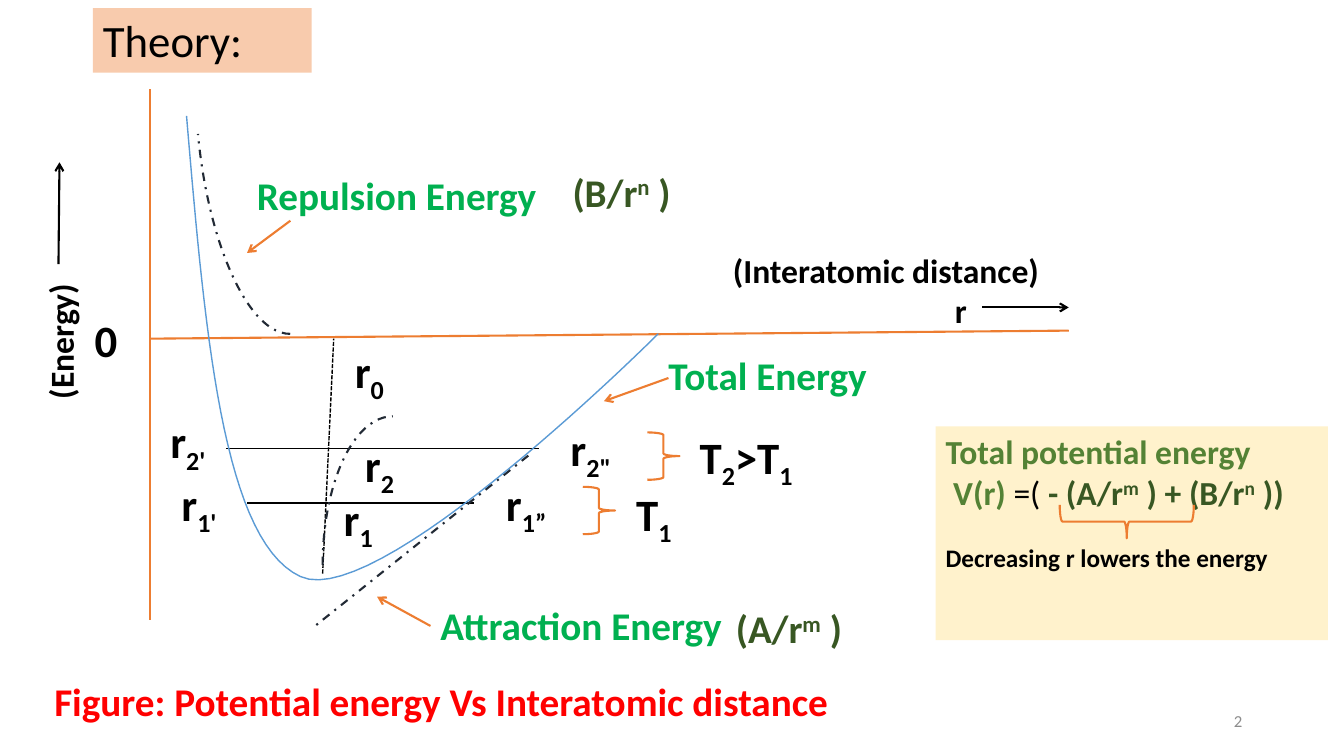
from lxml import etree
from pptx import Presentation
from pptx.dml.color import RGBColor
from pptx.enum.dml import MSO_LINE_DASH_STYLE as DASH
from pptx.enum.shapes import MSO_CONNECTOR, MSO_SHAPE
from pptx.enum.text import MSO_ANCHOR, PP_ALIGN
from pptx.oxml.ns import qn
from pptx.util import Inches, Pt

COLORS = {"black": "000000", "orange": "ED7D31", "blue": "5B9BD5", "navy": "222A35",
          "green": "00B050", "dark green": "385723", "mid green": "548235", "red": "FF0000",
          "gray": "8C8C8C", "peach": "F8CBAD", "cream": "FFF2CC"}

# Content: "_x_" is a subscript, "^x^" a superscript
# text, left, top, width, height, size, color
LABELS = [
    ("0", 0.84, 3.05, 0.43, 0.64, 32, "black"),
    ("r_0_", 3.42, 3.36, 0.51, 0.64, 32, "black"),
    ("r_1'_", 1.7, 4.68, 0.58, 0.64, 32, "black"),
    ("r_2'_", 1.59, 4.06, 0.58, 0.64, 32, "black"),
    ('r_2"_', 5.56, 4.13, 0.65, 0.64, 32, "black"),
    ("r_1”_", 4.92, 4.68, 0.64, 0.64, 32, "black"),
    ("r_1_", 3.31, 4.83, 0.51, 0.64, 32, "black"),
    ("r_2_", 3.52, 4.29, 0.51, 0.64, 32, "black"),
    ("T_1_", 6.21, 4.78, 0.58, 0.64, 32, "black"),
    ("T_2_>T_1_", 6.84, 4.21, 1.18, 1, 32, "black"),
    ("Repulsion Energy", 2.45, 1.65, 3, 0.57, 28, "green"),
    ("Attraction Energy", 4.27, 5.92, 3.04, 0.57, 28, "green"),
    ("Total Energy", 6.53, 3.44, 2.19, 0.57, 28, "green"),
    ("(B/r^n^ )", 5.58, 1.62, 1.21, 0.57, 28, "dark green"),
    ("(A/r^m^ )", 7.2, 5.95, 1.3, 0.57, 28, "dark green"),
    ("Figure: Potential energy Vs Interatomic distance", 0.44, 6.67, 7.97, 0.57, 28, "red"),
]
# from, to, color, width, dash, arrow
LINES = [
    ((1.49, 3.36), (10.6, 3.28), "orange", 1.5, None, False),
    ((1.49, 6.15), (1.49, 0.88), "orange", 1.5, None, False),
    ((3.2, 5.69), (3.31, 3.36), "black", 1, DASH.SQUARE_DOT, False),
    ((2.45, 4.99), (4.7, 4.99), "black", 1, None, False),
    ((2.24, 4.45), (5.35, 4.45), "black", 1, None, False),
    ((5.24, 4.52), (3.1, 6.23), "navy", 1.5, DASH.DASH_DOT, False),
    ((9.74, 3.05), (10.6, 3.05), "black", 1.5, None, True),
    ((0.58, 2.62), (0.59, 1.61), "black", 1.5, None, True),
    ((2.88, 2.19), (2.45, 2.51), "orange", 1.5, None, True),
    ((6.63, 3.75), (5.99, 3.98), "orange", 1.5, None, True),
    ((4.27, 6.21), (3.74, 5.92), "orange", 1.5, None, True),
]
# left, top, width, height, rotation
BRACES = [(6.42, 4.29, 0.32, 0.47, 0), (5.78, 4.83, 0.32, 0.47, 0), (11.01, 4.51, 0.33, 1.33, 90)]
# box, rotation, start and end adjustments
ARCS = [((1.96, -0.8, 1.5, 4.12), 174.7, (162.37, 0)),
        ((3.2, 4.13, 1.39, 2.95), 0, (108, 162))]
TOTAL_CURVE = [((1.85, 1.15), (2.03, 3.25), (2.2, 5.36), (2.98, 5.72)),
               ((2.98, 5.72), (3.76, 6.08), (6.53, 3.31), (6.53, 3.31))]
# One list per paragraph: text, size, color, bold
FORMULA = [
    [("Total potential energy", 24, "mid green", True)],
    [(" V(r) ", 24, "mid green", True), ("=( ", 24, "black", False),
     ("- (A/r^m^ ) + (B/r^n^ ))", 24, "dark green", True)],
    [("Decreasing r lowers the energy", 18, "black", True)],
]

presentation = Presentation()
presentation.slide_width, presentation.slide_height = Inches(13.33), Inches(7.5)
slide = presentation.slides.add_slide(presentation.slide_layouts[5])
shapes = slide.shapes


def rgb(name):
    return RGBColor.from_string(COLORS[name])


def inches(values):
    return [Inches(value) for value in values]


def add_text(paragraph, text, size, color, bold=True):
    mark, shift = ("^", "30000") if "^" in text else ("_", "-25000")
    for index, part in enumerate(text.split(mark)):
        if not part:
            continue
        run = paragraph.add_run()
        run.text = part
        font = run.font
        font.name, font.size, font.bold = "Calibri", Pt(size), bold
        font.color.rgb = rgb(color)
        if index % 2:
            run._r.get_or_add_rPr().set("baseline", shift)


def add_label(text, left, top, width, height, size, color, wrap=False, bold=True):
    box = shapes.add_textbox(*inches((left, top, width, height)))
    box.text_frame.word_wrap = wrap
    add_text(box.text_frame.paragraphs[0], text, size, color, bold)
    return box


def style_line(line, color, width, dash=None):
    line.color.rgb = rgb(color)
    line.width = Pt(width)
    if dash:
        line.dash_style = dash


def add_outline(kind, box, color, dash=None, rotation=0):
    shape = shapes.add_shape(kind, *inches(box))
    shape.shadow.inherit = False
    shape.fill.background()
    shape.rotation = rotation
    style_line(shape.line, color, 1.5, dash)
    return shape


def curve_point(points, t):
    weights = ((1 - t) ** 3, 3 * t * (1 - t) ** 2, 3 * t * t * (1 - t), t ** 3)
    return inches(sum(w * point[axis] for w, point in zip(weights, points)) for axis in (0, 1))


# Title
title = shapes.title
title.left, title.top, title.width, title.height = inches((0.92, 0.08, 2.17, 0.64))
title.fill.solid()
title.fill.fore_color.rgb = rgb("peach")
title.text_frame.vertical_anchor = MSO_ANCHOR.TOP
title.text_frame.paragraphs[0].alignment = PP_ALIGN.LEFT
add_text(title.text_frame.paragraphs[0], "Theory:", 32, "black", False)

# Formula panel
panel = shapes.add_shape(MSO_SHAPE.RECTANGLE, *inches((9.28, 4.23, 3.89, 2.12)))
panel.shadow.inherit = False
panel.fill.solid()
panel.fill.fore_color.rgb = rgb("cream")
panel.line.fill.background()
panel.text_frame.vertical_anchor = MSO_ANCHOR.TOP
for index, parts in enumerate(FORMULA):
    paragraph = panel.text_frame.paragraphs[0] if index == 0 else panel.text_frame.add_paragraph()
    paragraph.alignment = PP_ALIGN.LEFT
    for part in parts:
        add_text(paragraph, *part)
paragraph.space_before = Pt(22)

# Axes, levels and pointers
for start, end, color, width, dash, arrow in LINES:
    connector = shapes.add_connector(MSO_CONNECTOR.STRAIGHT, *inches(start + end))
    style_line(connector.line, color, width, dash)
    if arrow:
        etree.SubElement(connector.line._get_or_add_ln(), qn("a:tailEnd"), type="arrow")
    etree.SubElement(connector._element.spPr, qn("a:effectLst"))

# Total energy curve, sampled in EMU so that it stays smooth
STEPS = 30
curve_points = [curve_point(segment, step / STEPS)
                for segment in TOTAL_CURVE for step in range(1, STEPS + 1)]
builder = shapes.build_freeform(*inches(TOTAL_CURVE[0][0]))
builder.add_line_segments(curve_points, close=False)
curve = builder.convert_to_shape()
curve.shadow.inherit = False
curve.fill.background()
style_line(curve.line, "blue", 1)

# Repulsion and attraction arcs, braces
for box, rotation, adjustments in ARCS:
    arc = add_outline(MSO_SHAPE.ARC, box, "navy", DASH.DASH_DOT, rotation)
    for index, value in enumerate(adjustments):
        arc.adjustments[index] = value
for *box, rotation in BRACES:
    add_outline(MSO_SHAPE.RIGHT_BRACE, box, "orange", rotation=rotation)

# Labels
for label in LABELS:
    add_label(*label)
distance = add_label("(Interatomic distance)", 7.17, 2.43, 4.72, 0.91, 24, "black", True)
symbol = distance.text_frame.add_paragraph()
symbol.alignment = PP_ALIGN.CENTER
add_text(symbol, "r", 24, "black")
energy = add_label("(Energy)", -0.4, 2.4, 2.41, 0.91, 24, "black", True)
energy.rotation = 270
number = add_label("2", 9.42, 6.95, 3, 0.4, 12, "gray", True, False)
number.text_frame.vertical_anchor = MSO_ANCHOR.MIDDLE
number.text_frame.paragraphs[0].alignment = PP_ALIGN.RIGHT

presentation.save("out.pptx")
